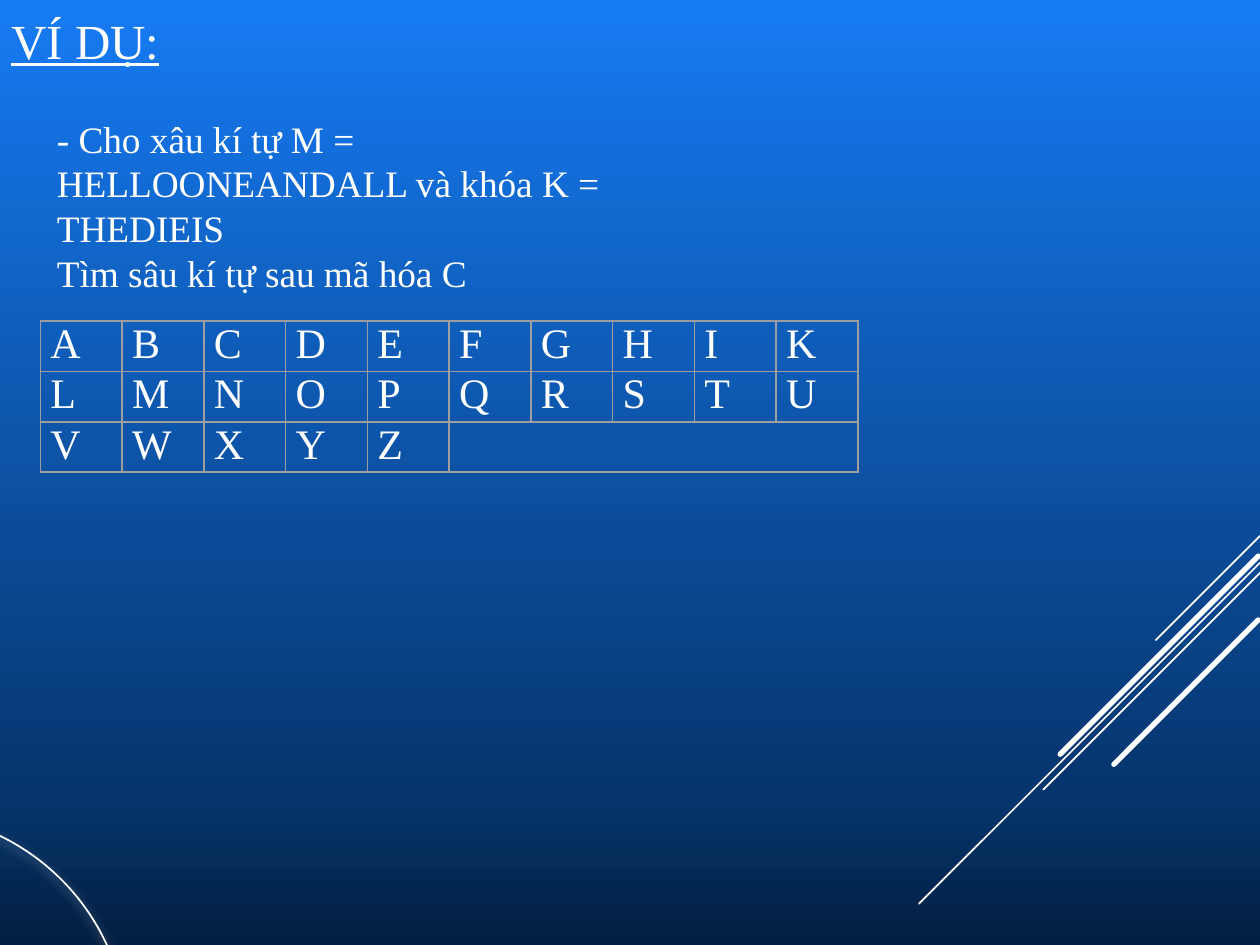
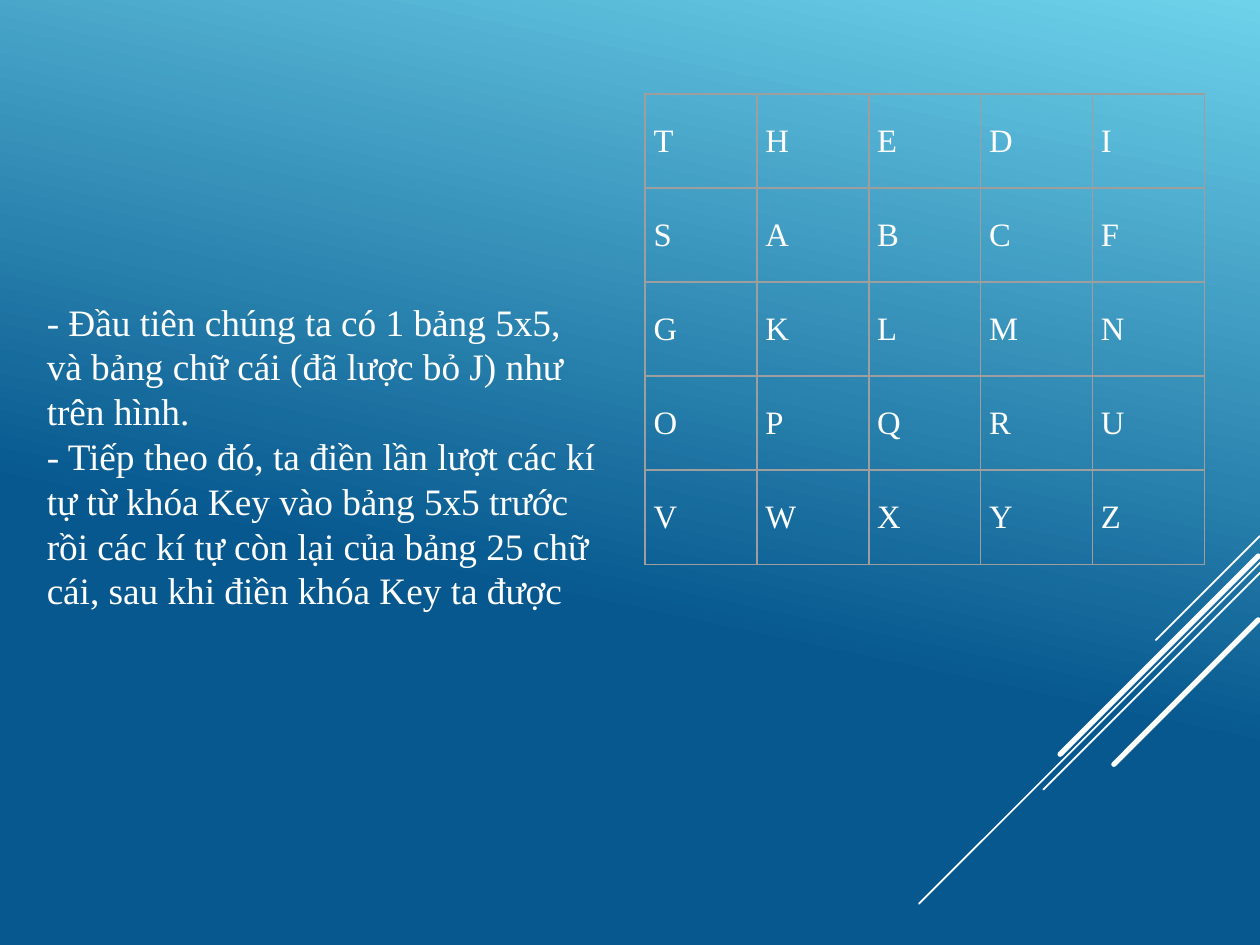
"""Build two slides that work through a letter-table cipher example."""
from copy import deepcopy

from lxml import etree
from pptx import Presentation
from pptx import util as u
from pptx.dml.color import RGBColor
from pptx.enum import shapes, text
from pptx.oxml.ns import qn

WHITE = RGBColor(0xFF, 0xFF, 0xFF)
GRID_GREY = RGBColor(0x9E, 0x9E, 0x9E)
NIGHT = RGBColor(0x03, 0x1F, 0x41)
NAVY = RGBColor(0x06, 0x35, 0x6D)
BRIGHT_BLUE = RGBColor(0x16, 0x7B, 0xF3)
SKY = RGBColor(0x6E, 0xD2, 0xEB)
SEA = RGBColor(0x06, 0x58, 0x8E)
FONT = "Times New Roman"


def style_paragraph(para, size):
    """Give every run of a paragraph the deck's font."""
    for span in para.runs:
        span.font.name = FONT
        span.font.size = u.Pt(size)
        span.font.color.rgb = WHITE


def add_letter_table(page, rows, place, size, inset, anchor):
    """Draw a grid of letters with thin grey borders and no fill."""
    columns = len(rows[0])
    left, top, width, height = map(u.Inches, place)
    table = page.shapes.add_table(len(rows), columns, left, top, width, height).table
    table.first_row = table.horz_banding = False
    for row, letters in enumerate(rows):
        for column in range(columns):
            cell = table.cell(row, column)
            cell.text = letters[column:column + 1]
            cell.margin_left = cell.margin_right = u.Inches(inset)
            cell.margin_top = cell.margin_bottom = 0
            cell.vertical_anchor = anchor
            cell.fill.background()
            style_paragraph(cell.text_frame.paragraphs[0], size)
            properties = cell._tc.get_or_add_tcPr()
            for index, side in enumerate(("lnL", "lnR", "lnT", "lnB")):
                border = etree.Element(qn(f"a:{side}"), w=str(u.Pt(0.75)))
                fill = etree.SubElement(border, qn("a:solidFill"))
                etree.SubElement(fill, qn("a:srgbClr"), val=str(GRID_GREY))
                properties.insert(index, border)
    return table


deck = Presentation()
deck.slide_width = u.Inches(7.5)
deck.slide_height = deck.slide_width * 3 // 4
example = deck.slides.add_slide(deck.slide_layouts.get_by_name("Title Only"))
key_square = deck.slides.add_slide(deck.slide_layouts.get_by_name("Blank"))

backgrounds = [
    (example, 270, [(0, NIGHT), (0.16, NAVY), (1, BRIGHT_BLUE)]),
    (key_square, 102, [(0, SKY), (0.62, SEA)]),
]
for page, angle, colours in backgrounds:
    fill = page.background.fill
    fill.gradient()
    fill.gradient_angle = 360 - angle
    stop_list = next(page.element.iter(qn("a:gsLst")))
    for extra in range(len(colours) - len(stop_list)):
        stop_list.append(deepcopy(stop_list[0]))
    for stop, (position, colour) in zip(fill.gradient_stops, colours):
        stop.position = position
        stop.color.rgb = colour

stripes = [
    (7.5, 3.19, 0.62, 0.75),
    (7.5, 3.35, 2.03, 0.75),
    (7.5, 3.41, 1.29, 0.75),
    (7.49, 3.31, 1.18, 2.25),
    (7.49, 3.69, 0.86, 2.25),
]
for number, (right, top, reach, weight) in enumerate(stripes, start=20):
    stripe = example.shapes.add_connector(
        shapes.MSO_CONNECTOR.STRAIGHT, u.Inches(right), u.Inches(top),
        u.Inches(right - reach), u.Inches(top + reach))
    stripe.line.color.rgb = WHITE
    stripe.line.width = u.Pt(weight)
    properties = stripe.element.spPr
    properties.find(qn("a:ln")).set("cap", "rnd")
    etree.SubElement(properties, qn("a:effectLst"))
    stripe.element.nvCxnSpPr.cNvPr.set("id", str(number))
    deck.slide_master.shapes.element.append(stripe.element)

circle = example.shapes.add_shape(
    shapes.MSO_SHAPE.OVAL, u.Inches(-1.94), u.Inches(4.84), u.Inches(2.7), u.Inches(2.7))
circle.fill.background()
circle.line.color.rgb = WHITE
circle.line.width = u.Pt(0.75)
circle.shadow.inherit = False
glow = etree.SubElement(
    circle.element.spPr.find(qn("a:effectLst")), qn("a:outerShdw"),
    blurRad=str(u.Pt(4.5)), dist=str(u.Pt(1.5)), dir="5400000", rotWithShape="0")
glow_colour = etree.SubElement(glow, qn("a:srgbClr"), val=str(WHITE))
etree.SubElement(glow_colour, qn("a:alpha"), val="50000")

title = example.shapes.title
title.left, title.top = u.Inches(-0.59), u.Inches(-0.01)
title.width, title.height = u.Inches(1.61), u.Inches(0.48)
frame = title.text_frame
frame.text = "VÍ DỤ:"
frame.word_wrap = True
frame.auto_size = text.MSO_AUTO_SIZE.NONE
frame.vertical_anchor = text.MSO_ANCHOR.TOP
frame.margin_left = frame.margin_right = u.Inches(0.07)
frame.margin_top = frame.margin_bottom = u.Inches(0.07)
para = frame.paragraphs[0]
para.alignment = text.PP_ALIGN.RIGHT
style_paragraph(para, 21)
para.runs[0].font.underline = True

explanations = [
    (example, (0.24, 0.64, 3.95, 1.41), [
        "- Cho xâu kí tự M = HELLOONEANDALL và khóa K = THEDIEIS",
        "Tìm sâu kí tự sau mã hóa C",
    ]),
    (key_square, (0.18, 1.73, 3.49, 2.16), [
        "- Đầu tiên chúng ta có 1 bảng 5x5, và bảng chữ cái (đã lược bỏ J) "
        "như trên hình.",
        "- Tiếp theo đó, ta điền lần lượt các kí tự từ khóa Key vào bảng 5x5 "
        "trước rồi các kí tự còn lại của bảng 25 chữ cái, sau khi điền khóa "
        "Key ta được",
    ]),
]
for page, place, lines in explanations:
    box = page.shapes.add_textbox(*map(u.Inches, place))
    frame = box.text_frame
    frame.word_wrap = True
    frame.auto_size = text.MSO_AUTO_SIZE.SHAPE_TO_FIT_TEXT
    frame.text = "\n".join(lines)
    for para in frame.paragraphs:
        para.line_spacing = u.Pt(19.2)
        style_paragraph(para, 16)

alphabet = add_letter_table(
    example, ["ABCDEFGHIK", "LMNOPQRSTU", "VWXYZ"],
    (0.24, 1.91, 4.87, 0.9), 18, 0.06, text.MSO_ANCHOR.TOP)
alphabet.cell(2, 5).merge(alphabet.cell(2, 9))
add_letter_table(
    key_square, ["THEDI", "SABCF", "GKLMN", "OPQRU", "VWXYZ"],
    (3.84, 0.56, 3.33, 2.8), 14, 0.05, text.MSO_ANCHOR.MIDDLE)

deck.save("out.pptx")
